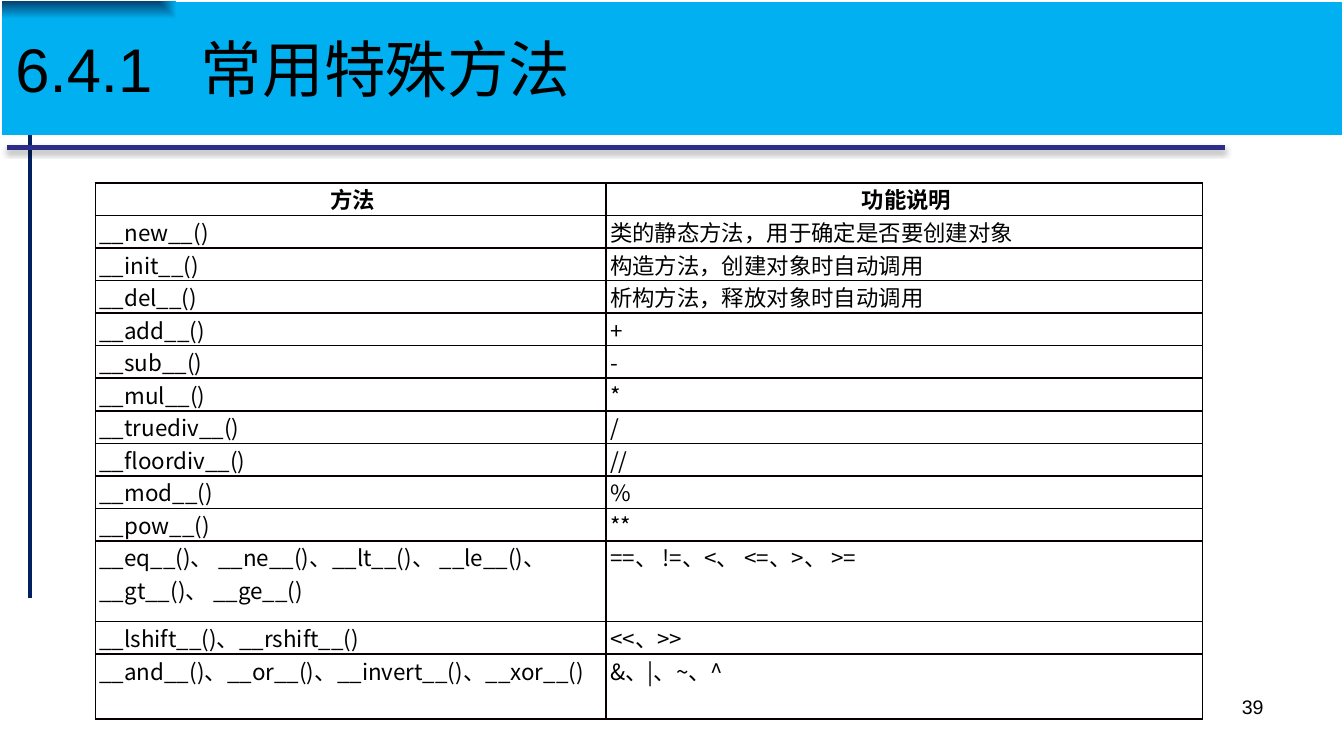
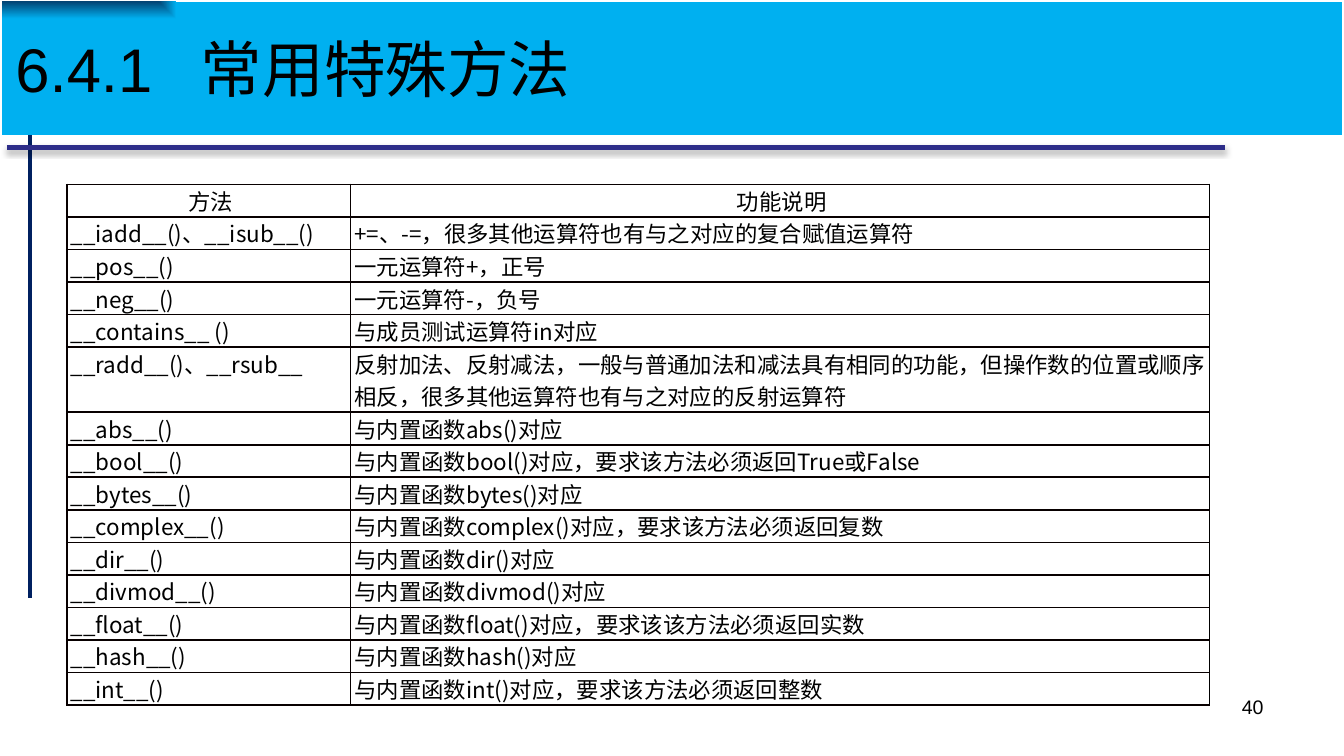
from itertools import cycle

from pptx import Presentation
from pptx.dml.color import RGBColor
from pptx.enum.shapes import MSO_CONNECTOR as CONN
from pptx.enum.text import MSO_ANCHOR as ANCHOR, PP_ALIGN as ALIGN
from pptx.oxml import parse_xml
from pptx.oxml.ns import nsdecls
from pptx.util import Emu, Inches, Pt

BLACK = RGBColor(0x00, 0x00, 0x00)
BORDER = RGBColor(0x08, 0x00, 0x00)
NAVY = RGBColor(0x00, 0x20, 0x60)
INDIGO = RGBColor(0x2D, 0x2D, 0x89)
DEEP_BLUE = RGBColor(0x03, 0x43, 0x73)
SKY = RGBColor(0x00, 0xB0, 0xF0)

LATIN = "Arial"
CJK = "Noto Sans CJK SC"
NS = nsdecls("a")
TITLE = "6.4.1\t常用特殊方法"
HEADER = ("方法", "功能说明")
ROW_H = 3.77

BAND_FILL = f"""<a:gradFill {NS}><a:gsLst>
<a:gs pos="0"><a:srgbClr val="{DEEP_BLUE}"/></a:gs>
<a:gs pos="26000"><a:srgbClr val="{SKY}"/></a:gs></a:gsLst>
<a:path path="rect"><a:fillToRect r="100000" b="100000"/></a:path></a:gradFill>"""
NO_EFFECT = f"<a:effectLst {NS}/>"
RULE_SHADOW = f"""<a:effectLst {NS}>
<a:outerShdw blurRad="40000" dist="23000" dir="5400000" rotWithShape="0">
<a:srgbClr val="{BLACK}"><a:alpha val="35000"/></a:srgbClr></a:outerShdw></a:effectLst>"""

# (from x, from y, to x, to y) in percent of the slide, colour, effect
RULES = [
    ((2.23, 14.4, 2.23, 79.1), NAVY, NO_EFFECT),
    ((0.52, 19.5, 91.13, 19.5), INDIGO, RULE_SHADOW),
]

# "tall" gives the rows that are several base rows high
PAGES = [
    {
        "number": "39", "at": (7.1, 24.2), "widths": (38, 44.4),
        "bold_header": True, "tall": {11: 2.83, 13: 2},
        "rows": [
            ("__new__()", "类的静态方法，用于确定是否要创建对象"),
            ("__init__()", "构造方法，创建对象时自动调用"),
            ("__del__()", "析构方法，释放对象时自动调用"),
            ("__add__()", "+"),
            ("__sub__()", "-"),
            ("__mul__()", "*"),
            ("__truediv__()", "/"),
            ("__floordiv__()", "//"),
            ("__mod__()", "%"),
            ("__pow__()", "**"),
            ("__eq__()、 __ne__()、__lt__()、 __le__()、__gt__()、 __ge__()",
             "==、 !=、<、 <=、>、 >="),
            ("__lshift__()、__rshift__()", "<<、>>"),
            ("__and__()、__or__()、__invert__()、__xor__()", "&、|、~、^"),
        ],
    },
    {
        "number": "40", "at": (4.97, 24.4), "widths": (21.1, 63.9),
        "bold_header": False, "tall": {5: 2},
        "rows": [
            ("__iadd__()、__isub__()", "+=、-=，很多其他运算符也有与之对应的复合赋值运算符"),
            ("__pos__()", "一元运算符+，正号"),
            ("__neg__()", "一元运算符-，负号"),
            ("__contains__ ()", "与成员测试运算符in对应"),
            ("__radd__()、__rsub__",
             "反射加法、反射减法，一般与普通加法和减法具有相同的功能，"
             "但操作数的位置或顺序相反，很多其他运算符也有与之对应的反射运算符"),
            ("__abs__()", "与内置函数abs()对应"),
            ("__bool__()", "与内置函数bool()对应，要求该方法必须返回True或False"),
            ("__bytes__()", "与内置函数bytes()对应"),
            ("__complex__()", "与内置函数complex()对应，要求该方法必须返回复数"),
            ("__dir__()", "与内置函数dir()对应"),
            ("__divmod__()", "与内置函数divmod()对应"),
            ("__float__()", "与内置函数float()对应，要求该该方法必须返回实数"),
            ("__hash__()", "与内置函数hash()对应"),
            ("__int__()", "与内置函数int()对应，要求该方法必须返回整数"),
        ],
    },
]

prs = Presentation()
prs.slide_width = Inches(10)
prs.slide_height = prs.slide_width * 9 // 16
SIDES = (prs.slide_width, prs.slide_height)


def share(*percents):
    """Turn alternating x, y percentages of the slide into lengths."""
    return [Emu(round(v * side / 100)) for v, side in zip(percents, cycle(SIDES))]


def add_run(p, text, size, font, bold=False):
    r = p.add_run()
    r.text = text
    r.font.size, r.font.bold = Pt(size), bold
    r.font.color.rgb = BLACK
    r.font.name = font
    r.font._element.append(parse_xml(f'<a:ea {NS} typeface="{CJK}"/>'))


for page in PAGES:
    s = prs.slides.add_slide(prs.slide_layouts[5])

    for ends, color, effect in RULES:
        rule = s.shapes.add_connector(CONN.STRAIGHT, *share(*ends))
        rule.line.color.rgb, rule.line.width = color, Pt(2.25)
        rule.element.spPr.append(parse_xml(effect))

    # Method table
    data = [HEADER, *page["rows"]]
    heights = [ROW_H * page["tall"].get(i, 1) for i in range(len(data))]
    frame = s.shapes.add_table(
        len(data), len(HEADER), *share(*page["at"], sum(page["widths"]), sum(heights)))
    table = frame.table
    table.first_row = table.horz_banding = False
    for column, width in zip(table.columns, page["widths"]):
        column.width = share(width)[0]
    for i, (texts, height) in enumerate(zip(data, heights)):
        table.rows[i].height = share(0, height)[1]
        for j, text in enumerate(texts):
            cell = table.cell(i, j)
            cell.margin_left = Inches(0.03)
            cell.margin_right = cell.margin_top = cell.margin_bottom = 0
            tcPr = cell._tc.get_or_add_tcPr()
            for side in "LRTB":
                outer = side == "R" and j == len(HEADER) - 1
                color, width = (BLACK, Pt(0.75)) if outer else (BORDER, Pt(1))
                tcPr.append(parse_xml(
                    f'<a:ln{side} {NS} w="{width}"><a:solidFill>'
                    f'<a:srgbClr val="{color}"/></a:solidFill></a:ln{side}>'))
            cell.fill.background()
            p = cell.text_frame.paragraphs[0]
            p.alignment = ALIGN.LEFT if i else ALIGN.CENTER
            add_run(p, text, 12, CJK, bold=page["bold_header"] and i == 0)

    # Title band, in front of the rules
    title = s.shapes.title
    title.left, title.top, title.width, title.height = share(0.15, 0.2, 99.7, 17.6)
    title.element.spPr.append(parse_xml(BAND_FILL))
    s.shapes.element.append(title.element)
    tf = title.text_frame
    tf.vertical_anchor = ANCHOR.MIDDLE
    p = tf.paragraphs[0]
    p.alignment = ALIGN.LEFT
    p._p.get_or_add_pPr().append(parse_xml(
        f'<a:tabLst {NS}><a:tab pos="{Inches(1.38)}" algn="l"/></a:tabLst>'))
    add_run(p, TITLE, 33, LATIN)

    # Page number
    tf = s.shapes.add_textbox(*share(71.7, 91.1, 23.3, 6.94)).text_frame
    tf.word_wrap = True
    p = tf.paragraphs[0]
    p.alignment = ALIGN.RIGHT
    add_run(p, page["number"], 10.5, LATIN)

prs.save("out.pptx")
